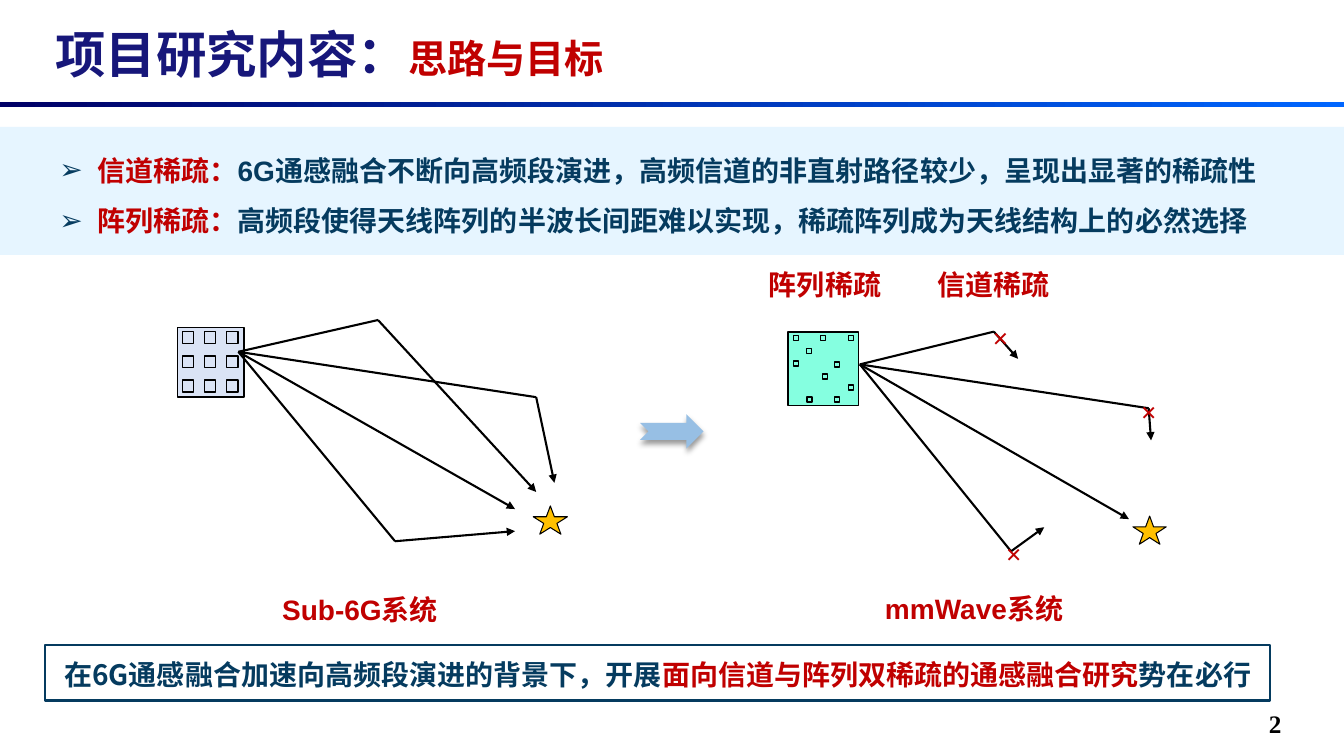
"""Build the slide on sparse channels and sparse arrays in 6G sensing and communication."""
from dataclasses import dataclass
from itertools import product
from typing import NamedTuple

from lxml import etree
from pptx import Presentation
from pptx.dml import color as dml
from pptx.enum import shapes, text
from pptx.oxml import ns
from pptx.util import Pt

COLORS = {
    "navy": "17177A", "red": "C00000", "ink": "053B5F", "black": "000000",
    "band": "E6F5FF", "rule_start": "000066", "rule_end": "0066FF",
    "dense": "DAE3F5", "sparse": "85FFE0", "star": "FFC000", "arrow": "97BFE4",
}
CJK_FONT = "Noto Sans CJK SC"
RECTANGLE = shapes.MSO_SHAPE.RECTANGLE
Point = tuple[float, float]


class Box(NamedTuple):
    left: float
    top: float
    width: float
    height: float


class Words(NamedTuple):
    content: str
    color: str = "red"
    size: float = 20
    font: str = "Arial"


class Label(NamedTuple):
    box: Box
    words: list[Words]
    anchor: text.MSO_ANCHOR = text.MSO_ANCHOR.TOP


@dataclass
class System:
    color: str
    panel: Box
    antenna_size: Point
    antennas: list[Point]
    source: Point
    paths: list[list[Point]]
    star: Box
    crosses: list[Point]


SYSTEMS = [
    System(
        color="dense", panel=Box(126.7, 234, 47.6, 49.7), antenna_size=(7.9, 8.6),
        antennas=[(130.3 + 15.85 * column, 236.9 + 17.25 * row)
                  for column, row in product(range(3), repeat=2)],
        source=(170.3, 251.3),
        paths=[[(270, 228.6), (383, 351.4)], [(383, 283.7), (396, 344.9)],
               [(367.9, 363.6)], [(282.2, 386.6), (367.9, 379.4)]],
        star=Box(380.9, 361.4, 24.5, 20.2), crosses=[]),
    System(
        color="sparse", panel=Box(563, 237.3, 50.4, 52.6), antenna_size=(3.6, 3.6),
        antennas=[(566.6, 239.8), (606.2, 239.8), (586.1, 239.8), (576, 249.1),
                  (596.2, 258.5), (566.6, 257.8), (587.5, 267.1), (606.2, 275),
                  (576.4, 283.7), (596.2, 283.7)],
        source=(614.2, 260.3),
        paths=[[(709.9, 236.9), (727.2, 256.3)], [(820.5, 291.6), (822.2, 314.6)],
               [(806.4, 370.8)], [(722.2, 393.8), (745.9, 376.6)]],
        star=Box(809.3, 368.6, 23.8, 20.2),
        crosses=[(702, 220.3), (807.8, 273.6), (711.4, 375.1)]),
]

LABELS = [
    Label(Box(32.4, 17.3, 688.3, 41.8),
          [Words("项目研究内容：", "navy", 36, "Montserrat"),
           Words("思路与目标", "red", 28, "Montserrat")], text.MSO_ANCHOR.MIDDLE),
    Label(Box(899.3, 502.6, 52.6, 28.1), [Words("2", "black", 18, "Times New Roman")]),
    Label(Box(542.2, 187.2, 124.6, 31.7), [Words("阵列稀疏")]),
    Label(Box(662.4, 187.2, 124.6, 31.7), [Words("信道稀疏")]),
    Label(Box(194.4, 419.8, 145.4, 31.7), [Words("Sub-6G系统")]),
    Label(Box(625, 419, 166.3, 31.7), [Words("mmWave系统")]),
]

POINTS = [
    [Words("信道稀疏："),
     Words("6G通感融合不断向高频段演进，高频信道的非直射路径较少，呈现出显著的稀疏性", "ink")],
    [Words("阵列稀疏："),
     Words("高频段使得天线阵列的半波长间距难以实现，稀疏阵列成为天线结构上的必然选择", "ink")],
]

CONCLUSION = [
    Words("在6G通感融合加速向高频段演进的背景下，开展", "ink", font=CJK_FONT),
    Words("面向信道与阵列双稀疏的通感融合研究"),
    Words("势在必行", "ink", font=CJK_FONT),
]


def rgb(name: str) -> dml.RGBColor:
    return dml.RGBColor.from_string(COLORS[name])


def add_element(parent, tag: str, **attributes: str):
    return etree.SubElement(parent, ns.qn(tag), attributes)


def add_bullet(paragraph) -> None:
    properties = paragraph._p.get_or_add_pPr()
    properties.set("marL", str(Pt(27)))
    properties.set("indent", str(-Pt(27)))
    bullet_color = add_element(properties, "a:buClr")
    add_element(bullet_color, "a:srgbClr", val=COLORS["ink"])
    add_element(properties, "a:buFont", typeface="Arial")
    add_element(properties, "a:buChar", char="➢")


def write_text(shape, paragraphs: list[list[Words]], *, anchor=text.MSO_ANCHOR.TOP,
               align=text.PP_ALIGN.LEFT, spacing: float = 1.0, bullets: bool = False,
               margins: tuple[float, ...] = (7.2, 3.6, 7.2, 3.6)) -> None:
    frame = shape.text_frame
    frame.word_wrap = True
    frame.vertical_anchor = anchor
    (frame.margin_left, frame.margin_top,
     frame.margin_right, frame.margin_bottom) = map(Pt, margins)
    for index, line in enumerate(paragraphs):
        paragraph = frame.add_paragraph() if index else frame.paragraphs[0]
        paragraph.alignment = align
        paragraph.line_spacing = spacing
        if bullets:
            add_bullet(paragraph)
        for words in line:
            run = paragraph.add_run()
            run.text = words.content
            run.font.name = words.font
            run.font.size = Pt(words.size)
            run.font.bold = True
            run.font.color.rgb = rgb(words.color)
            add_element(run._r.get_or_add_rPr(), "a:ea", typeface=CJK_FONT)


def add_shape(parent, kind, box: Box, fill: str = "", line: str = "", width: float = 1):
    shape = parent.add_shape(kind, *map(Pt, box))
    shape.shadow.inherit = False
    if fill:
        shape.fill.solid()
        shape.fill.fore_color.rgb = rgb(fill)
    else:
        shape.fill.background()
    if line:
        shape.line.color.rgb = rgb(line)
        shape.line.width = Pt(width)
    else:
        shape.line.fill.background()
    return shape


def add_path(parent, points: list[Point]) -> None:
    for start, end in zip(points, points[1:]):
        connector = parent.add_connector(
            shapes.MSO_CONNECTOR.STRAIGHT, *map(Pt, (*start, *end)))
        connector.line.color.rgb = rgb("black")
        connector.line.width = Pt(1.5)
        if end == points[-1]:
            add_element(connector.line._get_or_add_ln(), "a:tailEnd", type="triangle")
        add_element(connector._element.spPr, "a:effectLst")


def add_system(slide, system: System) -> None:
    group = slide.shapes.add_group_shape().shapes
    add_shape(group, RECTANGLE, system.panel, system.color, "black")
    for antenna in system.antennas:
        add_shape(group, RECTANGLE, Box(*antenna, *system.antenna_size),
                  system.color, "black")
    add_shape(group, shapes.MSO_SHAPE.STAR_5_POINT, system.star, "star", "black", 0.75)
    for path in system.paths:
        add_path(group, [system.source, *path])
    for left, top in system.crosses:
        cross = group.add_textbox(*map(Pt, (left, top, 32.4, 34.6)))
        write_text(cross, [[Words("×", font="Times New Roman")]], spacing=1.25,
                   anchor=text.MSO_ANCHOR.MIDDLE, align=text.PP_ALIGN.JUSTIFY)


def add_rule(slide) -> None:
    rule = add_shape(slide.shapes, RECTANGLE, Box(0, 72.7, 960, 3.6))
    rule.fill.gradient()
    rule.fill.gradient_angle = 0
    for stop, name in zip(rule.fill.gradient_stops, ("rule_start", "rule_end")):
        stop.color.rgb = rgb(name)


def add_transition(slide) -> None:
    arrow = add_shape(slide.shapes, shapes.MSO_SHAPE.NOTCHED_RIGHT_ARROW,
                      Box(457.2, 295.9, 45.4, 24.5), "arrow")
    effects = arrow._element.spPr.find(ns.qn("a:effectLst"))
    shadow = add_element(effects, "a:outerShdw", blurRad=str(Pt(4)), dist=str(Pt(3)),
                         dir="5400000", rotWithShape="0")
    shade = add_element(shadow, "a:srgbClr", val=COLORS["black"])
    add_element(shade, "a:alpha", val="40000")


def main() -> None:
    presentation = Presentation()
    presentation.slide_width, presentation.slide_height = Pt(960), Pt(540)
    slide = presentation.slides.add_slide(presentation.slide_layouts[6])
    add_rule(slide)
    band = add_shape(slide.shapes, RECTANGLE, Box(0, 90.7, 960, 91.4), "band")
    write_text(band, POINTS, anchor=text.MSO_ANCHOR.MIDDLE, spacing=1.5, bullets=True,
               margins=(42.5, 0, 22.3, 5.8))
    conclusion = add_shape(slide.shapes, RECTANGLE, Box(32.4, 460.8, 874.8, 39.6),
                           line="ink", width=1.5)
    write_text(conclusion, [CONCLUSION], anchor=text.MSO_ANCHOR.MIDDLE,
               align=text.PP_ALIGN.CENTER, spacing=1.3, margins=(0, 2.9, 0, 8.6))
    for system in SYSTEMS:
        add_system(slide, system)
    add_transition(slide)
    for label in LABELS:
        box = slide.shapes.add_textbox(*map(Pt, label.box))
        write_text(box, [label.words], anchor=label.anchor)
    presentation.save("out.pptx")


if __name__ == "__main__":
    main()
